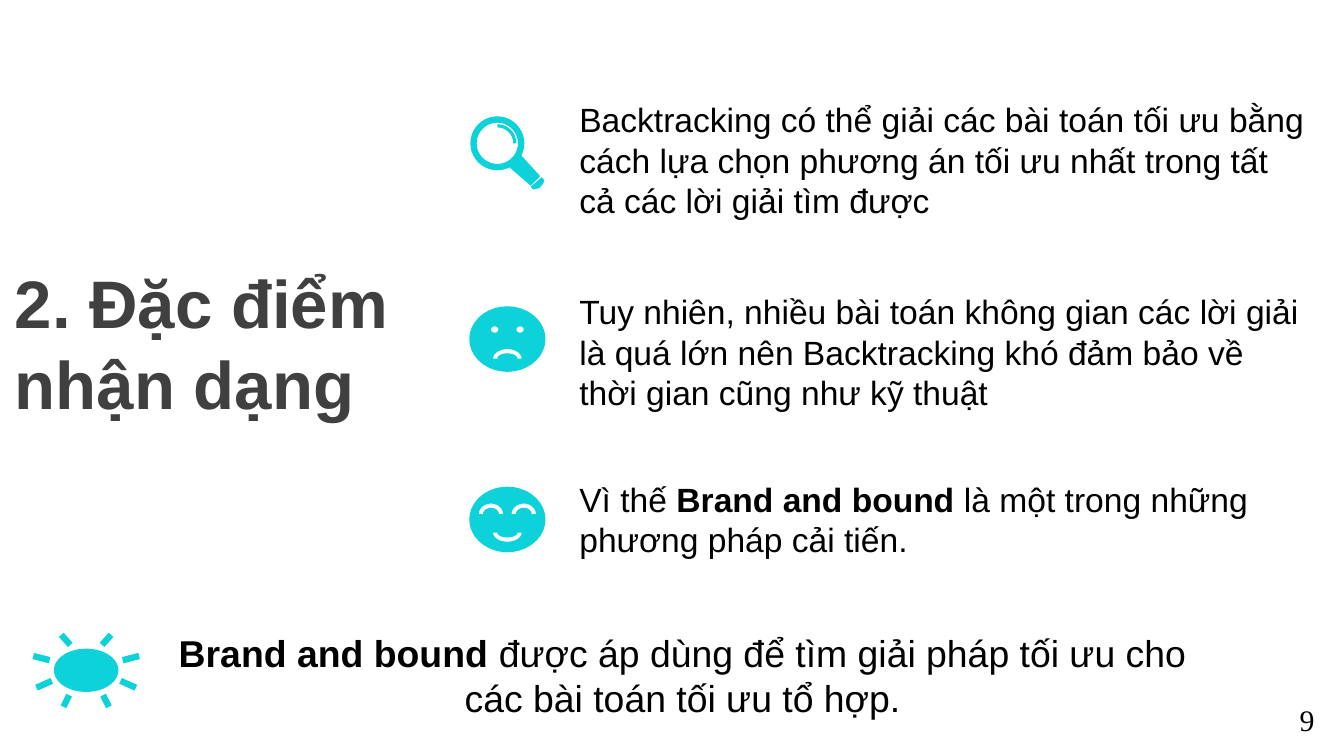
"""Build the slide on how to recognise backtracking problems."""
from dataclasses import dataclass
from math import cos, hypot, radians, sin
from typing import Any

from pptx import Presentation
from pptx import util as u
from pptx.enum import text
from pptx.dml.color import RGBColor

COLORS = {"title": "404040", "body": "000000", "icon": "0DD2D9"}


def arc(cx, cy, rx, ry, start=0, end=360, steps=36):
    """Return points along an elliptical arc, in cm and degrees."""
    angles = [radians(start + (end - start) * i / steps) for i in range(steps + 1)]
    return [(cx + rx * cos(a), cy + ry * sin(a)) for a in angles]


def band(cx, cy, rx, ry, start, end, width=0.08):
    """Return the outline of a curved stroke."""
    inner = arc(cx, cy, rx - width, ry - width, start, end)
    return arc(cx, cy, rx, ry, start, end) + inner[::-1]


def ray(x1, y1, x2, y2, half=0.06):
    """Return the outline of a short thick line."""
    length = hypot(x2 - x1, y2 - y1)
    dx, dy = half * (y1 - y2) / length, half * (x2 - x1) / length
    return [(x1 + dx, y1 + dy), (x2 + dx, y2 + dy),
            (x2 - dx, y2 - dy), (x1 - dx, y1 - dy)]


def add_run(p, content, size=18, font="Arial", color="body", bold=False):
    """Add a formatted run to a paragraph."""
    r = p.add_run()
    r.text = content
    r.font.size, r.font.name, r.font.bold = u.Pt(size), font, bold
    r.font.color.rgb = RGBColor.from_string(COLORS[color])


@dataclass
class Deck:
    """Hold the current slide and draw styled elements on it."""
    s: Any
    icon: str = COLORS["icon"]

    def text_box(self, box, runs, align=text.PP_ALIGN.LEFT,
                 anchor=text.MSO_ANCHOR.TOP, wrap=True, before=0, **style):
        """Add a text box from (text, bold) pairs."""
        tf = self.s.shapes.add_textbox(*map(u.Cm, box)).text_frame
        tf.word_wrap, tf.vertical_anchor = wrap, anchor
        p = tf.paragraphs[0]
        p.alignment, p.space_before = align, u.Pt(before)
        for content, bold in runs:
            add_run(p, content, bold=bold, **style)

    def outline(self, contours):
        """Add one filled freeform; inner contours become holes."""
        paths = [[(u.Cm(x), u.Cm(y)) for x, y in c] for c in contours]
        fb = self.s.shapes.build_freeform(*paths[0][0])
        fb.add_line_segments(paths[0][1:])
        for first, *rest in paths[1:]:
            fb.move_to(*first)
            fb.add_line_segments(rest)
        sp = fb.convert_to_shape()
        sp.shadow.inherit = False
        sp.fill.solid()
        sp.fill.fore_color.rgb = RGBColor.from_string(self.icon)
        sp.line.fill.background()

    def magnifier(self, x, y):
        """Draw a magnifying glass with its lens centred on x, y."""
        body = arc(x, y, 0.51, 0.51, 63, 387)
        body += [(x + 0.81, y + 0.62), (x + 0.63, y + 0.8)]
        tip = [(0.84, 0.64), (0.89, 0.7), (0.86, 0.77),
               (0.79, 0.85), (0.68, 0.87), (0.63, 0.82)]
        self.outline([body, arc(x, y, 0.39, 0.39),
                      band(x, y, 0.36, 0.36, 270, 360, 0.06),
                      [(x + dx, y + dy) for dx, dy in tip]])

    def face(self, x, y, happy):
        """Draw a happy or sad face centred on x, y."""
        if happy:
            eyes = [band(x + d, y - 0.04 * 2.5, 0.23, 0.2, 180, 360)
                    for d in (-0.31, 0.31)]
            mouth = band(x, y + 0.25, 0.27, 0.17, 0, 180)
        else:
            eyes = [arc(x + d, y - 0.18, 0.07, 0.06) for d in (-0.24, 0.24)]
            mouth = band(x, y + 0.37, 0.27, 0.18, 180, 360)
        self.outline([arc(x, y, 0.72, 0.62), *eyes, mouth])

    def sun(self, x, y):
        """Draw a sun with mirrored rays centred on x, y."""
        rays = [(0.32, 0.47, 0.43, 0.69), (0.65, 0.2, 0.94, 0.33),
                (0.69, -0.19, 1, -0.27), (0.3, -0.48, 0.47, -0.67)]
        self.outline([arc(x, y, 0.61, 0.41)] + [
            ray(x + m * x1, y + y1, x + m * x2, y + y2)
            for m in (1, -1) for x1, y1, x2, y2 in rays])


def main():
    """Build and save the slide."""
    prs = Presentation()
    prs.slide_width, prs.slide_height = u.Cm(25.4), u.Cm(14.29)
    deck = Deck(prs.slides.add_slide(prs.slide_layouts[6]))

    deck.text_box((0.03, 0.74, 8, 11.46), [("2. Đặc điểm nhận dạng", True)],
                  anchor=text.MSO_ANCHOR.MIDDLE, before=7.2, size=36, color="title")
    points = [
        (1.75, 4.11, [("Backtracking có thể giải các bài toán tối ưu bằng cách lựa chọn "
                       "phương án tối ưu nhất trong tất cả các lời giải tìm được", False)]),
        (5.38, 2.57, [("Tuy nhiên, nhiều bài toán không gian các lời giải là quá lớn nên "
                       "Backtracking khó đảm bảo về thời gian cũng như kỹ thuật", False)]),
        (8.92, 1.8, [("Vì thế ", False), ("Brand and bound ", True),
                     ("là một trong những phương pháp cải tiến.", False)]),
    ]
    for top, height, runs in points:
        deck.text_box((10.7, top, 14.2, height), runs)
    deck.magnifier(9.4, 2.71)
    deck.face(9.59, 6.41, happy=False)
    deck.face(9.59, 9.82, happy=True)

    deck.text_box((3.1, 11.79, 19.61, 2.82),
                  [("Brand and bound ", True),
                   ("được áp dùng để tìm giải pháp tối ưu cho các bài toán tối ưu tổ hợp.", False)],
                  align=text.PP_ALIGN.CENTER, size=20)
    deck.sun(1.63, 12.67)
    deck.text_box((24.31, 13.13, 0.79, 0.94), [("9", False)], wrap=False,
                  size=16, font="Times New Roman")
    prs.save("out.pptx")


if __name__ == "__main__":
    main()
